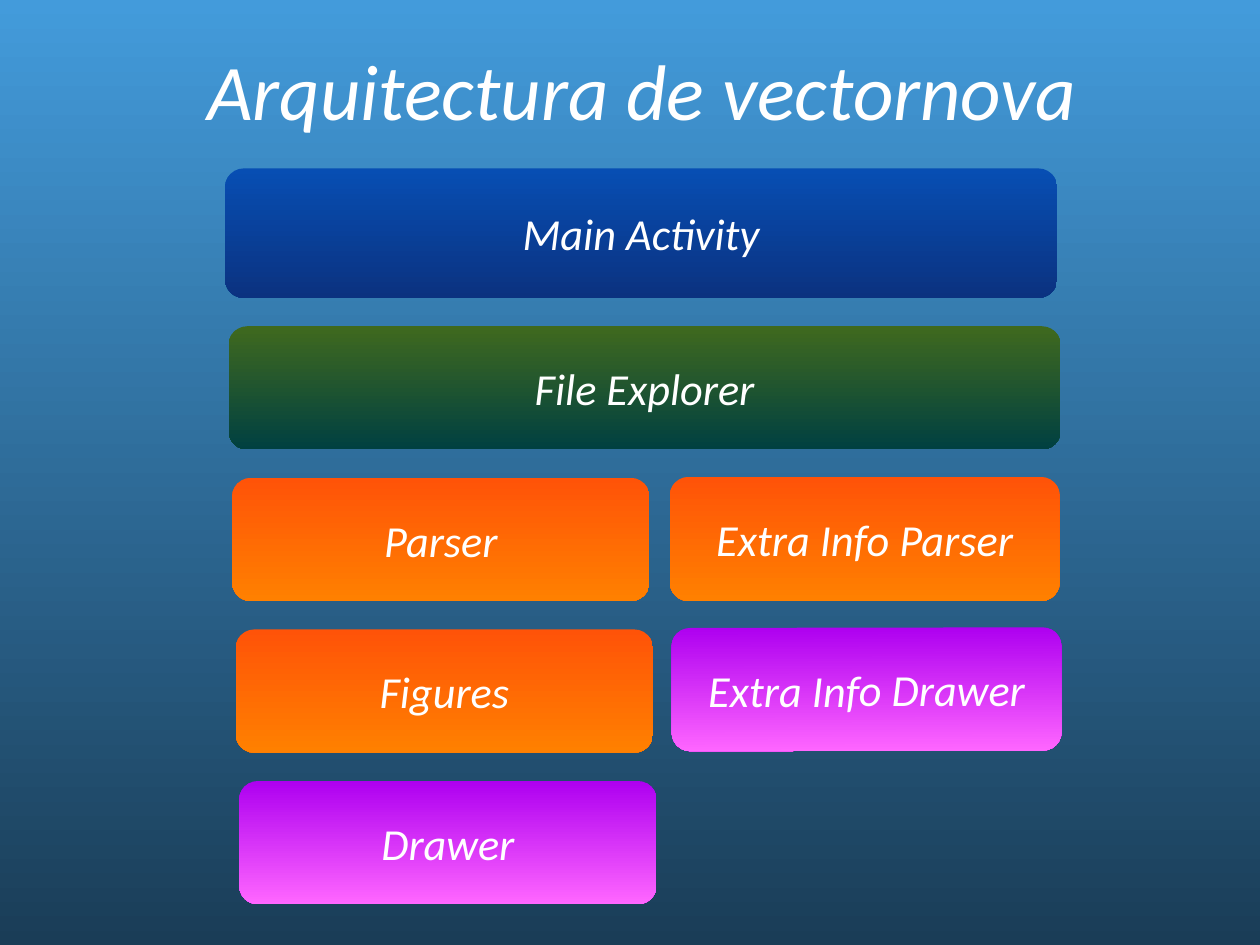
from dataclasses import dataclass

from pptx import Presentation
from pptx.dml.color import RGBColor
from pptx.enum.shapes import MSO_SHAPE
from pptx.enum.text import MSO_ANCHOR, PP_ALIGN
from pptx.util import Inches, Pt

COLORS = {
    "text": "FFFFFF",
    "background": ("439BDB", "1A3D57"),
    "activity": ("074EB3", "0B3280"),
    "explorer": ("3F691E", "004041"),
    "parsing": ("FF5308", "FF8000"),
    "drawing": ("AE00F0", "FF66FF"),
}
FRAME_FORMAT = {
    "margin_left": 0,
    "margin_right": 0,
    "margin_top": 0,
    "margin_bottom": 0,
    "word_wrap": True,
    "vertical_anchor": MSO_ANCHOR.MIDDLE,
}
FONT_FORMAT = {"name": "Calibri", "italic": True, "bold": False}
CORNER_RADIUS = 0.21


@dataclass
class Column:
    """Position rule of a column whose blocks drift right row by row."""

    left: float
    drift: float
    bottom: float
    pitch: float
    width: float


FULL = Column(2.54, 0.04, 3.36, 1.71, 9.39)
LEFT = Column(2.54, 0.04, 3.36, 1.71, 4.71)
RIGHT = Column(7.52, 0.02, 3.4, 1.69, 4.4)

LAYERS = [
    ("Main Activity", "activity", FULL, 0, 1.46, 0),
    ("File Explorer", "explorer", FULL, 1, 1.39, 0),
    ("Parser", "parsing", LEFT, 2, 1.39, 0),
    ("Extra Info Parser", "parsing", RIGHT, 2, 1.4, 0),
    ("Figures", "parsing", LEFT, 3, 1.39, 0),
    ("Extra Info Drawer", "drawing", RIGHT, 3, 1.39, -0.1),
    ("Drawer", "drawing", LEFT, 4, 1.39, 0),
]


def apply_format(target, values):
    """Set each attribute of the target from a dict."""
    for name, value in values.items():
        setattr(target, name, value)


def fill_gradient(fill, color_name):
    """Fill from top to bottom with a named pair of colours."""
    fill.gradient()
    fill.gradient_angle = 270
    for stop, color, position in zip(fill.gradient_stops, COLORS[color_name], (0, 1)):
        stop.color.rgb = RGBColor.from_string(color)
        stop.position = position


def write_text(shape, text, size):
    """Write centred white italic text in a shape."""
    apply_format(shape.text_frame, FRAME_FORMAT)
    paragraph = shape.text_frame.paragraphs[0]
    paragraph.alignment = PP_ALIGN.CENTER
    run = paragraph.add_run()
    run.text = text
    apply_format(run.font, FONT_FORMAT | {"size": Pt(size)})
    run.font.color.rgb = RGBColor.from_string(COLORS["text"])


def add_title(slide, text):
    """Place and fill the title placeholder."""
    title = slide.shapes.title
    place = {"left": 1.91, "top": 0.44, "width": 10.67, "height": 1.12}
    apply_format(title, {name: Inches(value) for name, value in place.items()})
    write_text(title, text, 64)


def add_layer(slide, text, color_name, column, row, height, rotation):
    """Add one rounded block of the architecture."""
    left = column.left + column.drift * row
    top = column.bottom + column.pitch * row - height
    shape = slide.shapes.add_shape(
        MSO_SHAPE.ROUNDED_RECTANGLE,
        Inches(left), Inches(top), Inches(column.width), Inches(height),
    )
    shape.adjustments[0] = CORNER_RADIUS / height
    shape.rotation = rotation
    shape.shadow.inherit = False
    shape.line.fill.background()
    fill_gradient(shape.fill, color_name)
    write_text(shape, text, 36)


def main():
    """Build and save the architecture slide."""
    presentation = Presentation()
    presentation.slide_width = Inches(14.22)
    presentation.slide_height = Inches(10.66)
    slide = presentation.slides.add_slide(presentation.slide_layouts[5])
    fill_gradient(slide.background.fill, "background")
    add_title(slide, "Arquitectura de vectornova")
    for layer in LAYERS:
        add_layer(slide, *layer)
    presentation.save("out.pptx")


if __name__ == "__main__":
    main()
